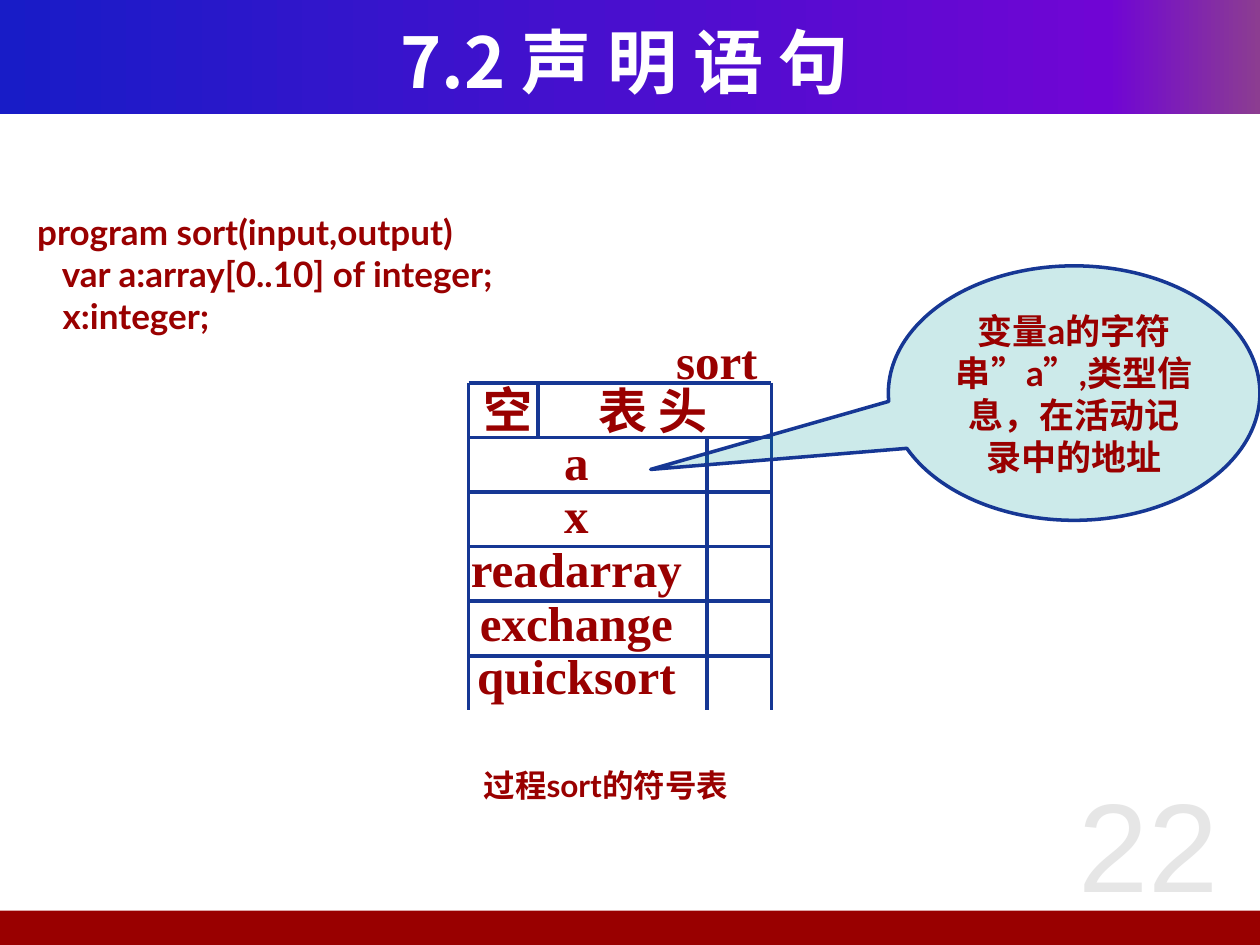
from itertools import groupby

from lxml.etree import SubElement
from pptx import Presentation
from pptx.dml.color import RGBColor
from pptx.enum.shapes import MSO_CONNECTOR, MSO_SHAPE
from pptx.enum.text import MSO_ANCHOR, PP_ALIGN
from pptx.oxml.ns import qn
from pptx.util import Cm, Pt

COLORS = {
    "blue": "181CC7", "violet": "7005D4", "plum": "8C3D91",
    "red": "990000", "navy": "163794", "teal": "009999",
    "white": "FFFFFF", "grey": "E6E6E6",
}
CJK = "Noto Sans CJK SC"
SERIF = "Times New Roman"
LEFT, RIGHT, TOP, ROW = 9.45, 15.55, 7.72, 1.1
NAMES = ["a", "x", "readarray", "exchange", "quicksort"]
CODE = ["program sort(input,output)",
        "   var a:array[0..10] of integer;",
        "   x:integer;"]
NOTE = "变量a的字符串”a”,类型信息，在活动记录中的地址"


def rgb(name):
    """Return the named colour."""
    return RGBColor.from_string(COLORS[name])


def write(s, lines, size=28, font=SERIF, color="red", bold=True,
          align=PP_ALIGN.CENTER, anchor=MSO_ANCHOR.TOP, quote_font=None):
    """Fill a shape with one formatted paragraph per line."""
    tf = s.text_frame
    tf.word_wrap = True
    tf.vertical_anchor = anchor
    for i, line in enumerate(lines):
        p = tf.add_paragraph() if i else tf.paragraphs[0]
        p.alignment = align
        for quoted, chars in groupby(line, lambda ch: ch == "”"):
            r = p.add_run()
            r.text = "".join(chars)
            r.font.name = quote_font if quoted and quote_font else font
            r.font.size = Pt(size)
            r.font.bold = bold
            r.font.color.rgb = rgb(color)
            SubElement(r.font._element, qn("a:ea"), typeface=CJK)


def add_text(slide, x, y, w, h, *lines, **fmt):
    """Add a text box and write its lines."""
    s = slide.shapes.add_textbox(Cm(x), Cm(y), Cm(w), Cm(h))
    write(s, lines, **fmt)


def add_line(slide, x1, y1, x2, y2):
    """Add a plain navy rule."""
    s = slide.shapes.add_connector(
        MSO_CONNECTOR.STRAIGHT, Cm(x1), Cm(y1), Cm(x2), Cm(y2))
    s.line.color.rgb = rgb("navy")
    s.line.width = Pt(2)
    SubElement(s._element.spPr, qn("a:effectLst"))


def add_bar(slide, x, y, w, h, color):
    """Add a borderless solid bar."""
    s = slide.shapes.add_shape(MSO_SHAPE.RECTANGLE, Cm(x), Cm(y), Cm(w), Cm(h))
    s.shadow.inherit = False
    s.line.fill.background()
    s.fill.solid()
    s.fill.fore_color.rgb = rgb(color)
    return s


def set_gradient(s, stops):
    """Give a shape a left-to-right gradient from (percent, colour) stops."""
    s.fill.gradient()
    s.fill.gradient_angle = 0
    gs_list = s._element.spPr.find(f".//{qn('a:gsLst')}")
    for gs in list(gs_list):
        gs_list.remove(gs)
    for percent, color in stops:
        gs = SubElement(gs_list, qn("a:gs"), pos=str(percent * 1000))
        SubElement(gs, qn("a:srgbClr"), val=COLORS[color])


def add_symbol_table(slide):
    """Draw the ruled symbol table with its header and entries."""
    bottom = TOP + 6 * ROW
    for i in range(6):
        add_line(slide, LEFT, TOP + i * ROW, RIGHT, TOP + i * ROW)
    for x, y1, y2 in [(LEFT, TOP, bottom), (RIGHT, TOP, bottom),
                      (10.85, TOP, TOP + ROW), (14.25, TOP + ROW, bottom)]:
        add_line(slide, x, y1, x, y2)
    add_text(slide, 12.3, 6.53, 4.3, 1.35, "sort")
    add_text(slide, 9.5, 7.52, 1.45, 1.35, "空")
    add_text(slide, 11.28, 7.54, 3.76, 1.35, "表 头")
    for i, name in enumerate(NAMES):
        add_text(slide, 9.17, 8.57 + i * 1.08, 4.9, 1.35, name)


def add_callout(slide):
    """Add the translucent callout that points at the first entry."""
    s = slide.shapes.add_shape(MSO_SHAPE.OVAL_CALLOUT,
                               Cm(17.91), Cm(5.36), Cm(7.49), Cm(5.13))
    s.shadow.inherit = False
    s.adjustments[0], s.adjustments[1] = -1.14, 0.3
    s.fill.solid()
    s.fill.fore_color.rgb = rgb("teal")
    clr = s._element.spPr.find(f"{qn('a:solidFill')}/{qn('a:srgbClr')}")
    SubElement(clr, qn("a:alpha"), val="20000")
    s.line.color.rgb = rgb("navy")
    s.line.width = Pt(2)
    write(s, [NOTE], size=20, font="Lato", quote_font="Arial",
          anchor=MSO_ANCHOR.MIDDLE)


def main():
    """Build and save the slide."""
    prs = Presentation()
    prs.slide_width, prs.slide_height = Cm(25.4), Cm(19.05)
    slide = prs.slides.add_slide(prs.slide_layouts[6])
    banner = add_bar(slide, 0, 0, 25.4, 2.31, "blue")
    set_gradient(banner, [(0, "blue"), (88, "violet"), (100, "plum")])
    add_bar(slide, -0.1, 18.36, 25.5, 0.69, "red")
    add_text(slide, 0.84, 0.43, 23.5, 1.57, "7.2 声 明 语 句", size=40,
             font=CJK, color="white", anchor=MSO_ANCHOR.MIDDLE)
    add_text(slide, 20.9, 15.32, 4.5, 3.6, "22", size=72, font="Arial",
             color="grey", bold=False)
    add_symbol_table(slide)
    add_text(slide, 0.5, 4.11, 12.7, 2.8, *CODE, size=20, font="Lato",
             align=PP_ALIGN.LEFT)
    add_text(slide, 9.5, 15.32, 8.4, 1.02, "过程sort的符号表", size=18,
             font="Lato", align=PP_ALIGN.LEFT)
    add_callout(slide)
    prs.save("out.pptx")


if __name__ == "__main__":
    main()
